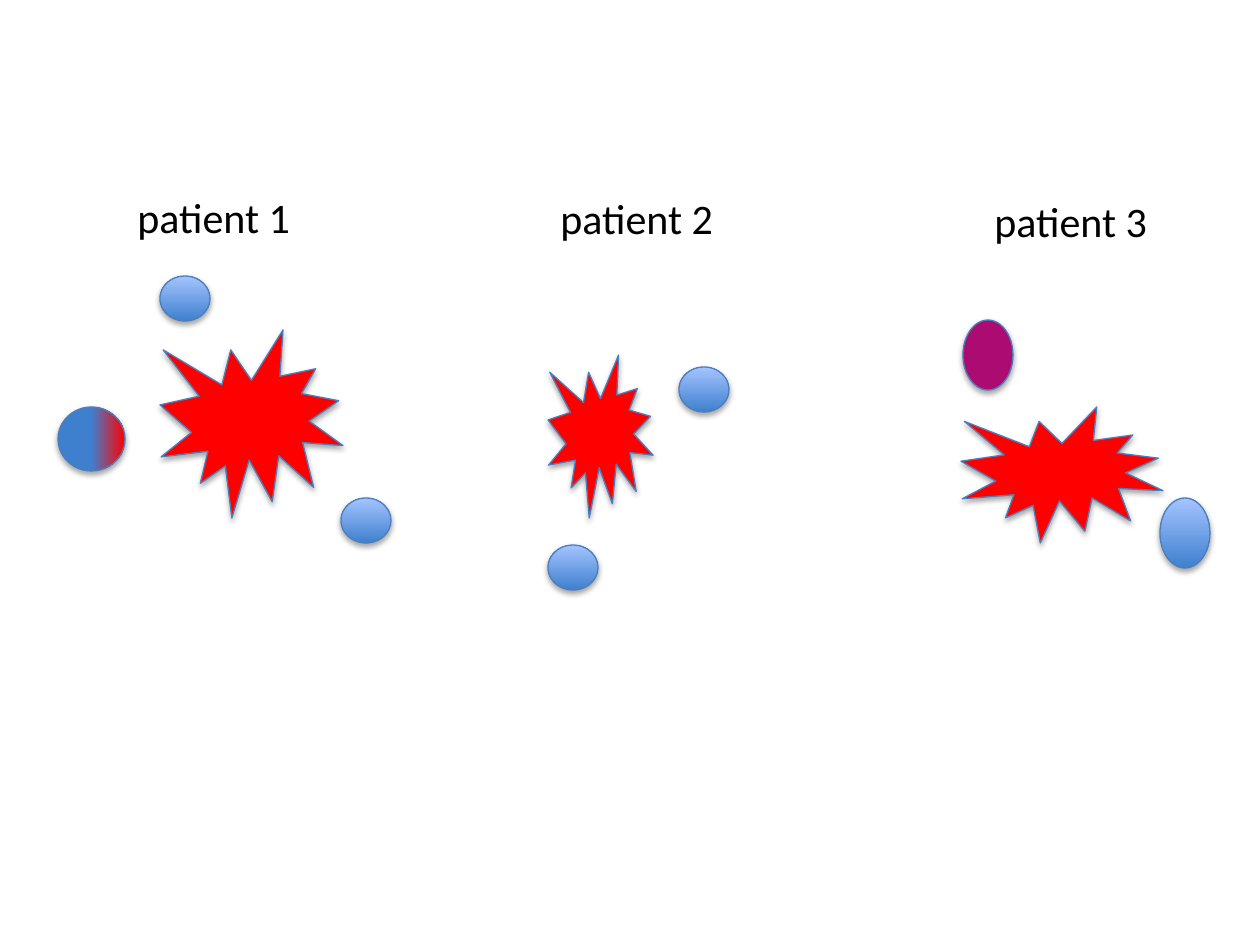
from copy import deepcopy
from dataclasses import dataclass

from lxml.etree import SubElement
from pptx import Presentation
from pptx.dml.color import RGBColor
from pptx.enum.shapes import MSO_SHAPE
from pptx.enum.text import MSO_AUTO_SIZE
from pptx.oxml.ns import qn
from pptx.shapes.autoshape import Shape
from pptx.slide import Slide
from pptx.util import Emu, Pt

EMU_PER_PIXEL = 914400 / 126

BLACK = RGBColor(0x00, 0x00, 0x00)
RED = RGBColor(0xFF, 0x00, 0x00)
PURPLE = RGBColor(0xAC, 0x0B, 0x71)
BLUE = RGBColor(0x3F, 0x80, 0xCE)
LIGHT_BLUE = RGBColor(0xA4, 0xC4, 0xFF)
OUTLINE = RGBColor(0x4B, 0x7E, 0xBC)


@dataclass(frozen=True)
class Paint:
    """One colour is a solid fill; more are evenly spaced gradient stops."""
    colors: tuple[RGBColor, ...]
    angle: int = 0


@dataclass(frozen=True)
class Figure:
    left: int
    top: int
    width: int
    height: int
    paint: Paint
    preset: MSO_SHAPE = MSO_SHAPE.OVAL


@dataclass(frozen=True)
class Patient:
    label: str
    label_left: int
    label_top: int
    figures: tuple[Figure, ...]


BLUE_FADE = Paint((BLUE, LIGHT_BLUE), 90)
BLUE_TO_RED = Paint((BLUE, BLUE, RED))
SOLID_PURPLE = Paint((PURPLE,))


def burst(left: int, top: int, width: int, height: int) -> Figure:
    return Figure(left, top, width, height, Paint((RED,)), MSO_SHAPE.EXPLOSION1)


def cell(left: int, top: int, height: int = 45, paint: Paint = BLUE_FADE) -> Figure:
    return Figure(left, top, 50, height, paint)


PATIENTS = (
    Patient("patient 1", 125, 185, (
        burst(160, 330, 183, 188),
        cell(160, 276),
        Figure(58, 407, 67, 64, BLUE_TO_RED),
        cell(341, 498),
    )),
    Patient("patient 2", 548, 186, (
        burst(548, 355, 105, 163),
        cell(679, 367),
        cell(548, 545),
    )),
    Patient("patient 3", 982, 189, (
        burst(961, 407, 202, 136),
        cell(1160, 498, 70),
        cell(963, 320, 70, SOLID_PURPLE),
    )),
)


def px(pixels: int) -> Emu:
    return Emu(round(pixels * EMU_PER_PIXEL))


def apply_paint(shape: Shape, paint: Paint) -> None:
    if len(paint.colors) == 1:
        shape.fill.solid()
        shape.fill.fore_color.rgb = paint.colors[0]
        return
    shape.fill.gradient()
    shape.fill.gradient_angle = paint.angle
    stop_list = next(shape.element.iter(qn("a:gsLst")))
    for _ in paint.colors[2:]:
        stop_list.append(deepcopy(stop_list[0]))
    last = len(paint.colors) - 1
    for index, (stop, color) in enumerate(zip(shape.fill.gradient_stops, paint.colors)):
        stop.position = index / last
        stop.color.rgb = color


def add_shadow(shape: Shape) -> None:
    shape.shadow.inherit = False
    effects = next(shape.element.iter(qn("a:effectLst")))
    shadow = SubElement(effects, qn("a:outerShdw"), blurRad="40000",
                        dist="23000", dir="5400000", rotWithShape="0")
    color = SubElement(shadow, qn("a:srgbClr"), val=str(BLACK))
    SubElement(color, qn("a:alpha"), val="35000")


def draw_figure(slide: Slide, figure: Figure) -> None:
    shape = slide.shapes.add_shape(figure.preset, px(figure.left), px(figure.top),
                                   px(figure.width), px(figure.height))
    apply_paint(shape, figure.paint)
    shape.line.color.rgb = OUTLINE
    shape.line.width = Pt(0.75)
    add_shadow(shape)


def draw_label(slide: Slide, patient: Patient) -> None:
    label = slide.shapes.add_textbox(px(patient.label_left), px(patient.label_top),
                                     px(180), px(63))
    frame = label.text_frame
    frame.text = patient.label
    frame.word_wrap = False
    frame.auto_size = MSO_AUTO_SIZE.SHAPE_TO_FIT_TEXT
    font = frame.paragraphs[0].runs[0].font
    font.name = "Calibri"
    font.size = Pt(24)
    font.color.rgb = BLACK


def main() -> None:
    presentation = Presentation()
    presentation.slide_width = px(1260)
    presentation.slide_height = px(945)
    slide = presentation.slides.add_slide(presentation.slide_layouts[6])

    # Each patient: burst and surrounding cells, then the label
    for patient in PATIENTS:
        for figure in patient.figures:
            draw_figure(slide, figure)
        draw_label(slide, patient)

    presentation.save("out.pptx")


main()
